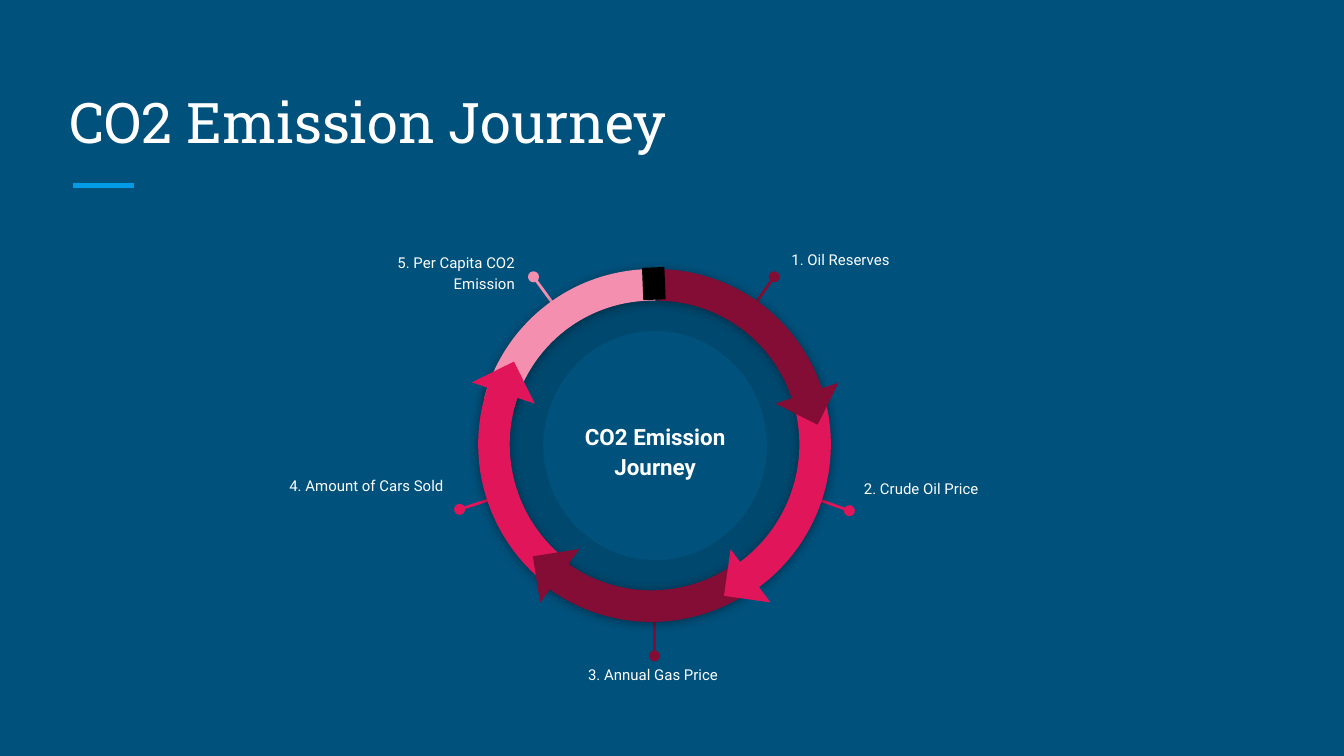
"""Build a slide with a ring of five arrows on the CO2 emission journey."""
from lxml import etree
from pptx import Presentation
from pptx import util as u
from pptx.dml.color import RGBColor
from pptx.enum import shapes, text
from pptx.oxml.ns import qn

HUES = {"back": "00517C", "bar": "039BE5", "white": "FFFFFF", "black": "000000",
        "wine": "840D35", "red": "E1165A", "pink": "F48FB0"}
KIND = shapes.MSO_SHAPE
SIDE = text.PP_ALIGN
EDGE = text.MSO_ANCHOR

ARCS = [
    (3.57, 30.4, False, (144.14, 189.99, 0.09), "wine"),
    (3.57, 210.4, True, (201.79, 26.24, 0.09), "red"),
    (3.56, 329.6, True, (143.34, 188.55, 0.09), "pink"),
    (3.56, 149.6, False, (201.85, 30.07, 0.09), "red"),
    (3.55, 210.4, True, (157.39, 200.08, 0.09), "wine"),
]
TIPS = [
    (5.83, 2.75, 296.7, "wine"),
    (3.57, 2.75, 153.7, "red"),
    (5.41, 4.11, 8.1, "red"),
    (3.99, 4.11, 81.1, "wine"),
]
STEPS = [
    ("1. Oil Reserves", (5.79, 1.77), SIDE.LEFT, (5.76, 2.06), (5.5, 2.43), "wine"),
    ("2. Crude Oil Price", (6.33, 3.47), SIDE.LEFT, (6.32, 3.8), (5.9, 3.65), "red"),
    ("3. Annual Gas Price", (4.14, 4.86), SIDE.CENTER, (4.87, 4.88), (4.87, 4.4), "wine"),
    ("4. Amount of Cars Sold", (1.96, 3.45), SIDE.RIGHT, (3.42, 3.79), (3.85, 3.65), "red"),
    ("5. Per Capita CO2 Emission", (2.49, 1.77), SIDE.RIGHT, (3.97, 2.06), (4.24, 2.43), "pink"),
]


def tint(name):
    """Return the named colour."""
    return RGBColor.from_string(HUES[name])


def add_text(home, words, box, size, font="Roboto", side=SIDE.LEFT,
             anchor=EDGE.TOP, bold=False, space=1.15):
    """Add a wrapped text box with one run."""
    frame = home.add_textbox(*map(u.Inches, box)).text_frame
    frame.word_wrap = True
    frame.vertical_anchor = anchor
    frame.margin_left = frame.margin_right = u.Inches(0.1)
    frame.margin_top = frame.margin_bottom = u.Inches(0.1)
    para = frame.paragraphs[0]
    para.alignment = side
    para.line_spacing = space
    run = para.add_run()
    run.text = words
    run.font.name = font
    run.font.size = u.Pt(size)
    run.font.bold = bold
    run.font.color.rgb = tint("white")


def add_line(home, start, end, hue, width, dot=False):
    """Add a straight line, with a dot at its start if asked."""
    line = home.add_connector(
        shapes.MSO_CONNECTOR.STRAIGHT, *map(u.Inches, start + end))
    line.line.color.rgb = tint(hue)
    line.line.width = u.Pt(width)
    props = line._element.spPr
    if dot:
        etree.SubElement(props.find(qn("a:ln")), qn("a:headEnd"), type="oval")
    etree.SubElement(props, qn("a:effectLst"))


def add_form(home, kind, box, hue, turn=0):
    """Add a filled shape without outline or shadow."""
    form = home.add_shape(kind, *map(u.Inches, box))
    form.rotation = turn
    form.fill.solid()
    form.fill.fore_color.rgb = tint(hue)
    form.line.fill.background()
    form.shadow.inherit = False
    return form


def add_alpha(parent, share):
    """Set the opacity of a colour element in percent."""
    etree.SubElement(parent, qn("a:alpha"), val=str(share * 1000))


def add_disc(home):
    """Add the faint ring inside the arrows."""
    disc = add_form(home, KIND.DONUT, (3.65, 2.07, 2.45, 2.49), "black")
    disc.adjustments[0] = 0.16
    add_alpha(disc._element.spPr.find(qn("a:solidFill"))[0], 11)


def add_arc(home, left, turn, flip, bends, hue):
    """Add one shadowed arc of the ring."""
    arc = add_form(home, KIND.BLOCK_ARC, (left, 2, 2.61, 2.63), hue, turn)
    for spot, bend in enumerate(bends):
        arc.adjustments[spot] = bend
    props = arc._element.spPr
    if flip:
        props.find(qn("a:xfrm")).set("flipH", "1")
    shade = etree.SubElement(
        props.find(qn("a:effectLst")), qn("a:outerShdw"), blurRad=str(u.Pt(5.6)),
        dist=str(u.Pt(0.8)), dir="5400000", algn="bl", rotWithShape="0")
    add_alpha(etree.SubElement(shade, qn("a:srgbClr"), val=HUES["black"]), 40)


def add_step(home, words, spot, side, start, end, hue):
    """Add a group of a dotted line and its label."""
    group = home.add_group_shape().shapes
    add_line(group, start, end, hue, 1.5, dot=True)
    add_text(group, words, spot + (1.44, 0.66), 8, side=side)


def main():
    """Build and save the slide."""
    deck = Presentation()
    deck.slide_width = u.Inches(10)
    deck.slide_height = deck.slide_width * 9 // 16
    slide = deck.slides.add_slide(deck.slide_layouts[6])
    slide.background.fill.solid()
    slide.background.fill.fore_color.rgb = tint("back")
    home = slide.shapes

    add_line(home, (0.54, 1.38), (1, 1.38), "bar", 3)
    add_text(home, "CO2 Emission Journey", (0.42, 0.5, 9.15, 0.75), 30,
             "Roboto Slab", anchor=EDGE.BOTTOM, space=1)
    add_disc(home)
    for step in STEPS:
        add_step(home, *step)
    for arc in ARCS:
        add_arc(home, *arc)
    for left, top, turn, hue in TIPS:
        add_form(home, KIND.RIGHT_TRIANGLE, (left, top, 0.35, 0.35), hue, turn)
    add_text(home, "CO2 Emission Journey", (4.18, 2.95, 1.39, 0.79), 12,
             side=SIDE.CENTER, anchor=EDGE.MIDDLE, bold=True)
    add_line(home, (4.86, 1.99), (4.87, 2.23), "black", 12)
    deck.save("out.pptx")


if __name__ == "__main__":
    main()
